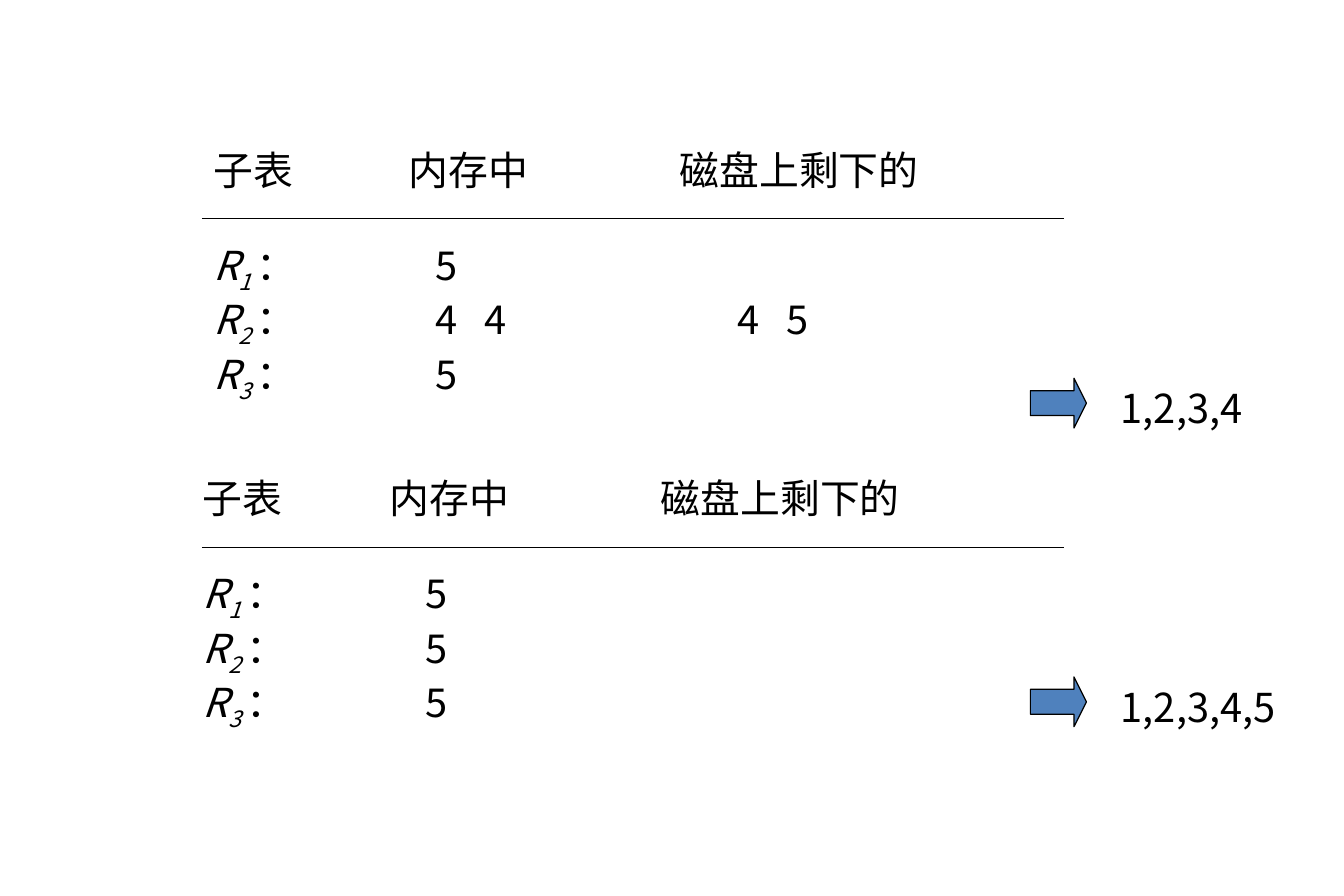
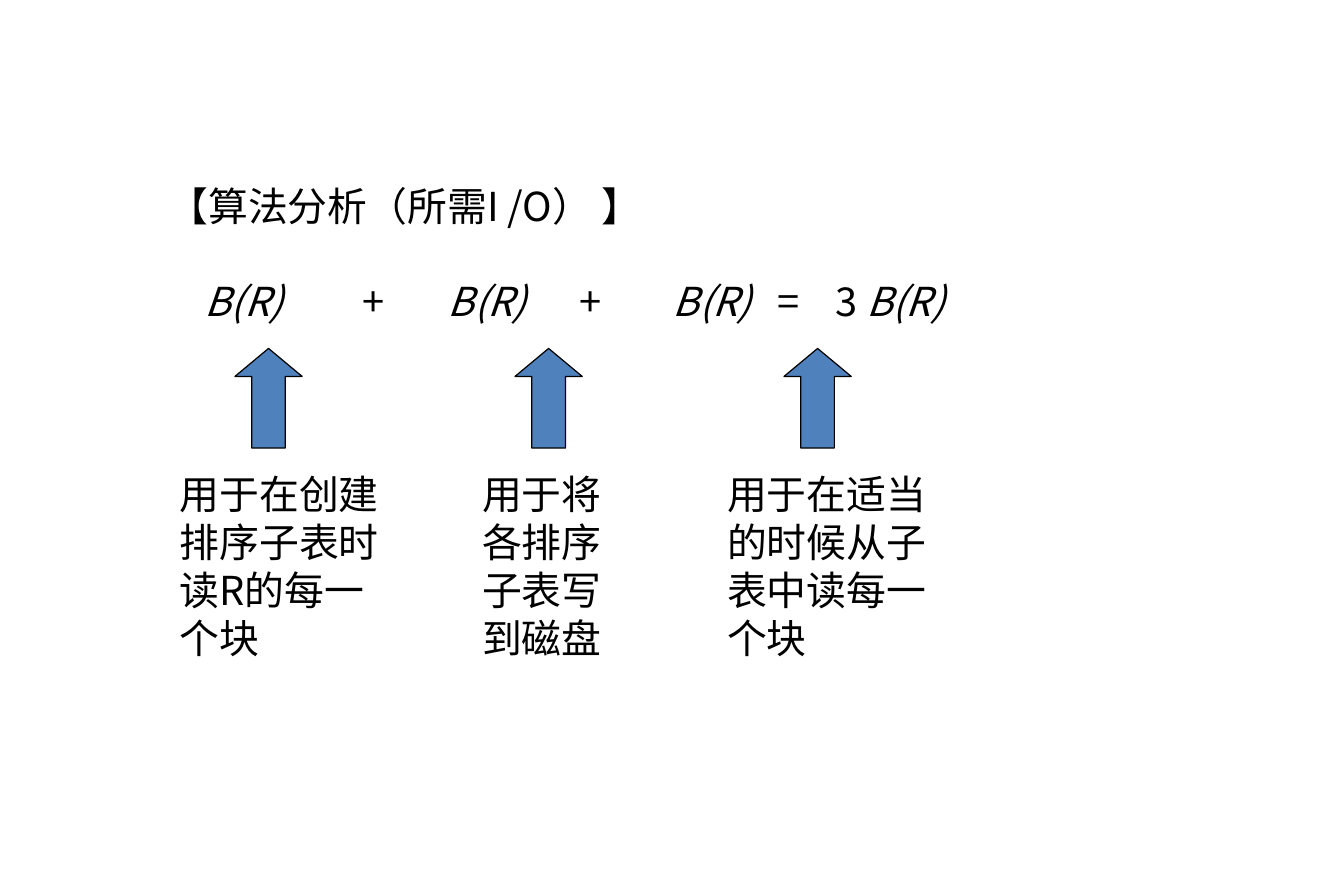
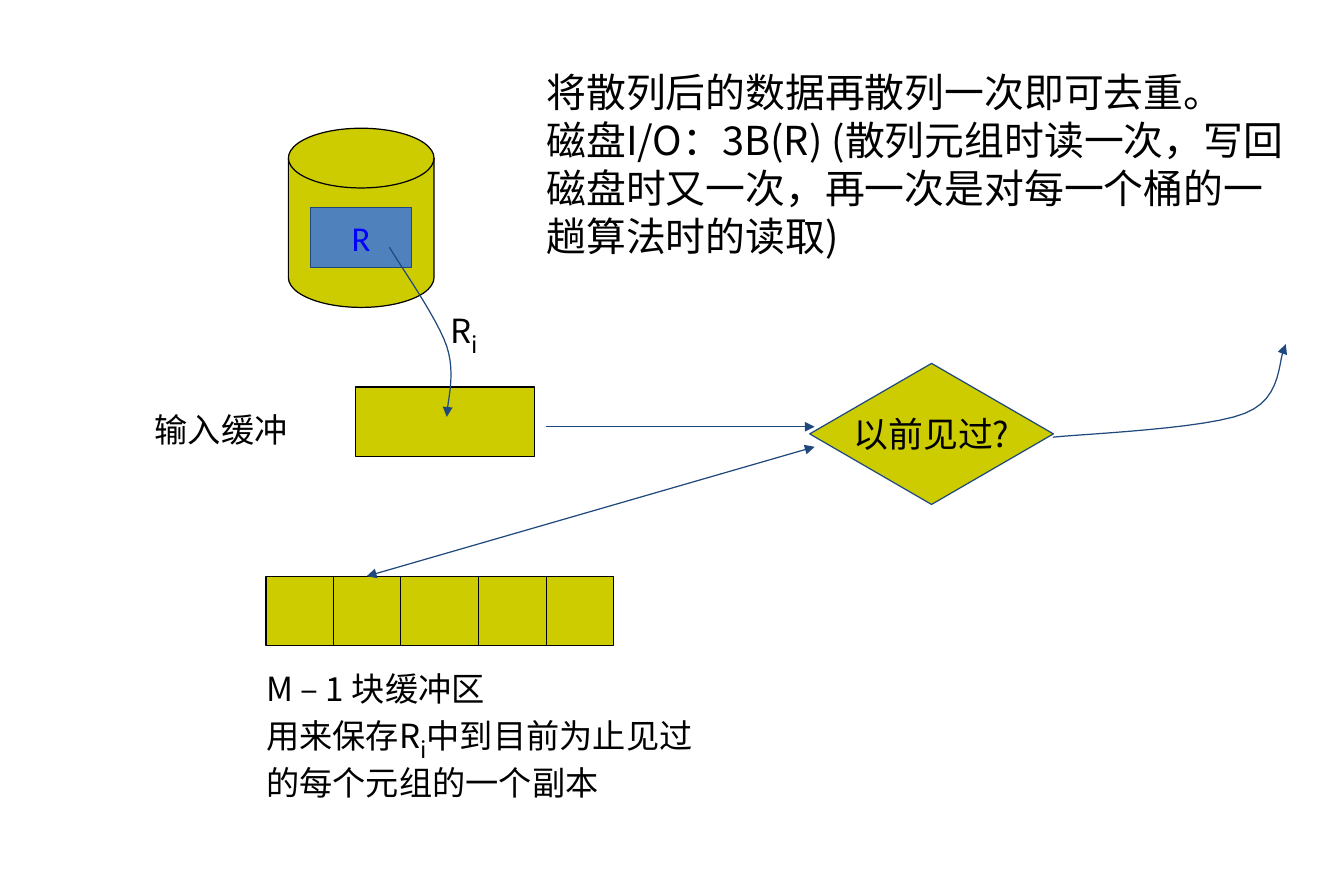
from dataclasses import dataclass
from itertools import accumulate
from typing import NamedTuple

from lxml.etree import SubElement
from pptx import Presentation
from pptx.dml.color import RGBColor
from pptx.enum.shapes import MSO_CONNECTOR, MSO_SHAPE
from pptx.enum.text import MSO_ANCHOR, PP_ALIGN
from pptx.oxml.ns import qn
from pptx.util import Pt

# Shared look
CJK_FONT = "Noto Sans CJK SC"
LATIN_FONT = "Calibri"
BLACK, BLUE, NAVY, OLIVE, LINK_BLUE = "000000", "4F81BD", "1F497D", "CCCC00", "0000FF"
RULE_WIDTH = 0.75
BODY, SMALL, SHAPE_TEXT = 24, 20, 21
LINE_GAP = 28.4


class Box(NamedTuple):
    left: float
    top: float
    width: float
    height: float


class Point(NamedTuple):
    x: float
    y: float


class Piece(NamedTuple):
    text: str
    size: float = BODY
    italic: bool = False
    subscript: bool = False


@dataclass
class Sublists:
    box: Box
    rule_y: float
    heading_stops: list[float]
    value_stops: list[float]
    rows: list[str]


@dataclass
class Term:
    arrow_left: float
    note_left: float
    note_width: float
    note: str


# Helpers
def colour(value: str) -> RGBColor:
    return RGBColor.from_string(value)


def points(values) -> list:
    return [Pt(value) for value in values]


def write(paragraph, pieces: list[Piece], font: str = CJK_FONT, ink: str = BLACK) -> None:
    for piece in pieces:
        run = paragraph.add_run()
        run.text = piece.text
        run.font.name = font
        run.font.size = Pt(piece.size)
        run.font.italic = piece.italic
        run.font.color.rgb = colour(ink)
        if piece.subscript:
            run.font._element.set("baseline", "-25000")


def set_tabs(paragraph, stops: list[float]) -> None:
    tab_list = SubElement(paragraph._p.get_or_add_pPr(), qn("a:tabLst"))
    for stop in stops:
        SubElement(tab_list, qn("a:tab"), pos=str(int(Pt(stop))), algn="l")


def add_text(slide, box: Box, paragraphs: list[list[Piece]]):
    frame = slide.shapes.add_textbox(*points(box)).text_frame
    frame.word_wrap = True
    for index, pieces in enumerate(paragraphs):
        write(frame.add_paragraph() if index else frame.paragraphs[0], pieces)
    return frame


def add_figure(slide, kind: MSO_SHAPE, box: Box, fill: str, line: str = BLACK):
    figure = slide.shapes.add_shape(kind, *points(box))
    figure.shadow.inherit = False
    figure.fill.solid()
    figure.fill.fore_color.rgb = colour(fill)
    figure.line.color.rgb = colour(line)
    figure.line.width = Pt(RULE_WIDTH)
    return figure


def label_figure(figure, text: str, font: str = CJK_FONT, ink: str = BLACK) -> None:
    frame = figure.text_frame
    frame.word_wrap = False
    frame.vertical_anchor = MSO_ANCHOR.MIDDLE
    frame.paragraphs[0].alignment = PP_ALIGN.CENTER
    write(frame.paragraphs[0], [Piece(text, SHAPE_TEXT)], font, ink)


def style_line(shape, ink: str, ends: tuple[str, ...] = ()) -> None:
    shape.line.color.rgb = colour(ink)
    shape.line.width = Pt(RULE_WIDTH)
    properties = shape._element.spPr
    for end in ends:
        SubElement(properties.find(qn("a:ln")), qn(f"a:{end}"), type="triangle")
    if properties.find(qn("a:effectLst")) is None:
        SubElement(properties, qn("a:effectLst"))


def add_line(slide, start: Point, end: Point, ink: str, ends: tuple[str, ...] = ()) -> None:
    line = slide.shapes.add_connector(MSO_CONNECTOR.STRAIGHT, *points(start + end))
    style_line(line, ink, ends)


def bezier(a: Point, b: Point, c: Point, d: Point, steps: int = 12) -> list[Point]:
    """Points after the start of a cubic curve."""
    curve = []
    for step in range(1, steps + 1):
        t = step / steps
        weights = ((1 - t) ** 3, 3 * t * (1 - t) ** 2, 3 * t * t * (1 - t), t ** 3)
        curve.append(Point(*(sum(w * v for w, v in zip(weights, axis))
                             for axis in zip(a, b, c, d))))
    return curve


def add_curve(slide, knots: list[Point]) -> None:
    """Draw a chain of cubic curves, three knots for each after the first."""
    route = [p for i in range(0, len(knots) - 1, 3) for p in bezier(*knots[i:i + 4])]
    builder = slide.shapes.build_freeform(*points(knots[0]), scale=1.0)
    builder.add_line_segments([points(p) for p in route], close=False)
    curve = builder.convert_to_shape()
    curve.shadow.inherit = False
    curve.fill.background()
    style_line(curve, NAVY, ("tailEnd",))


# Slide 1: sublists in memory and on disk
RULE_LEFT, RULE_RIGHT = 121.7, 641.5
HEADINGS = "子表\t内存中\t磁盘上剩下的"
SUBLISTS = [
    Sublists(Box(121.7, 84.2, 496.8, 152.6), 131.8, [117.4, 280.8],
             [133.7, 163.3, 315.5, 345.1], ["5", "4\t4\t4\t5", "5"]),
    Sublists(Box(115.2, 282.2, 489.6, 152.6), 329.8, [112.6, 276], [134], ["5"] * 3),
]


def add_sublists(slide, sublists: Sublists) -> None:
    lines = [[Piece(HEADINGS)]]
    for number, values in enumerate(sublists.rows, 1):
        lines.append([Piece("R", italic=True), Piece(f"{number} ", italic=True, subscript=True),
                      Piece(f"：\t{values}")])
    heading, *rows = add_text(slide, sublists.box, lines).paragraphs
    set_tabs(heading, sublists.heading_stops)
    rows[0].space_before = Pt(LINE_GAP)
    for row in rows:
        set_tabs(row, sublists.value_stops)
    add_line(slide, Point(RULE_LEFT, sublists.rule_y), Point(RULE_RIGHT, sublists.rule_y), BLACK)


def build_merge_slide(slide) -> None:
    for sublists in SUBLISTS:
        add_sublists(slide, sublists)
    for top, output, width in ((228, "1,2,3,4", 94.5), (408, "1,2,3,4,5", 128)):
        arrow = add_figure(slide, MSO_SHAPE.RIGHT_ARROW, Box(621, top, 33.8, 30), BLUE)
        arrow.adjustments[1] = 0.25
        add_text(slide, Box(668.4, top, width, 36), [[Piece(output)]])


# Slide 2: cost analysis
TERMS = [
    Term(141.6, 101.2, 148.5, "用于在创建排序子表时读R的每一个块"),
    Term(310.4, 283.5, 103, "用于将各排序子表写到磁盘"),
    Term(472.5, 431.2, 155.5, "用于在适当的时候从子表中读每一个块"),
]
FORMULA = ("B(R)", "+", "B(R)", "+", "B(R)", "=", "3 ")
FORMULA_STOPS = [21.8, 116.8, 168.4, 247.6, 304, 366.9, 401.8]


def build_cost_slide(slide) -> None:
    formula = [Piece(f"\t{part}", italic=part == "B(R)") for part in FORMULA]
    formula.append(Piece("B(R)", italic=True))
    frame = add_text(slide, Box(94.5, 105.8, 600.5, 123.8),
                     [[Piece("【算法分析（所需I /O） 】")], formula])
    frame.paragraphs[1].space_before = Pt(LINE_GAP)
    set_tabs(frame.paragraphs[1], FORMULA_STOPS)
    for term in TERMS:
        add_text(slide, Box(term.note_left, 279.7, term.note_width, 123.8), [[Piece(term.note)]])
        arrow = add_figure(slide, MSO_SHAPE.UP_ARROW, Box(term.arrow_left, 210, 40.5, 60), BLUE)
        arrow.adjustments[1] = 0.417


# Slide 3: removing duplicates with hash buckets
BUFFERS = Box(160.3, 347.3, 209.5, 41.8)
BUFFER_WIDTHS = (40.6, 40.5, 47.2, 40.6)


def build_hash_slide(slide) -> None:
    # Disk, relation and input buffer
    add_figure(slide, MSO_SHAPE.FLOWCHART_MAGNETIC_DISK, Box(173.8, 77.3, 87.8, 108), OLIVE)
    relation = add_figure(slide, MSO_SHAPE.RECTANGLE, Box(187.2, 125.2, 60.8, 36), BLUE, NAVY)
    label_figure(relation, "R", LATIN_FONT, LINK_BLUE)
    add_figure(slide, MSO_SHAPE.RECTANGLE, Box(214.3, 233.3, 108, 41.8), OLIVE)

    # Row of memory buffers
    add_figure(slide, MSO_SHAPE.RECTANGLE, BUFFERS, OLIVE)
    for offset in accumulate(BUFFER_WIDTHS):
        x = BUFFERS.left + offset
        add_line(slide, Point(x, BUFFERS.top), Point(x, BUFFERS.top + BUFFERS.height), BLACK)

    # Flow of tuples
    add_curve(slide, [Point(234.7, 149), Point(240.5, 159.1), Point(263.5, 191.5),
                      Point(269.3, 208.8), Point(275, 226.1), Point(269.3, 242.6),
                      Point(269.3, 251.3)])
    add_line(slide, Point(329, 257.2), Point(491, 257.2), NAVY, ("tailEnd",))
    add_line(slide, Point(221, 347.3), Point(491, 269.3), NAVY, ("headEnd", "tailEnd"))
    add_curve(slide, [Point(634.5, 263.5), Point(653.8, 261.4), Point(727.2, 258.5),
                      Point(750.2, 249.1), Point(774, 239.8), Point(769.7, 216),
                      Point(774.9, 207.4)])

    # Labels
    subscript = Piece("i", subscript=True)
    add_text(slide, Box(153.4, 399.3, 274.3, 80), [
        [Piece("M – 1 块缓冲区", SMALL)],
        [Piece("用来保存R", SMALL), subscript, Piece("中到目前为止见过", SMALL)],
        [Piece("的每个元组的一个副本", SMALL)],
    ])
    add_text(slide, Box(86.1, 243.4, 191.5, 31), [[Piece("输入缓冲", SMALL)]])
    add_text(slide, Box(264.6, 179.3, 63.4, 31.7), [[Piece("R", SMALL), subscript]])
    seen = add_figure(slide, MSO_SHAPE.FLOWCHART_DECISION, Box(488, 219, 146.9, 85), OLIVE, NAVY)
    label_figure(seen, "以前见过?")
    add_text(slide, Box(322.2, 37.4, 459.4, 152.6), [
        [Piece("将散列后的数据再散列一次即可去重。")],
        [Piece("磁盘I/O：3B(R) (散列元组时读一次，写回磁盘时又一次，再一次是对每一个桶的一趟算法时的读取)")],
    ])


def main() -> None:
    presentation = Presentation()
    presentation.slide_width, presentation.slide_height = Pt(810), Pt(540)
    blank_layout = presentation.slide_layouts[6]
    for build in (build_merge_slide, build_cost_slide, build_hash_slide):
        build(presentation.slides.add_slide(blank_layout))
    presentation.save("out.pptx")


if __name__ == "__main__":
    main()
